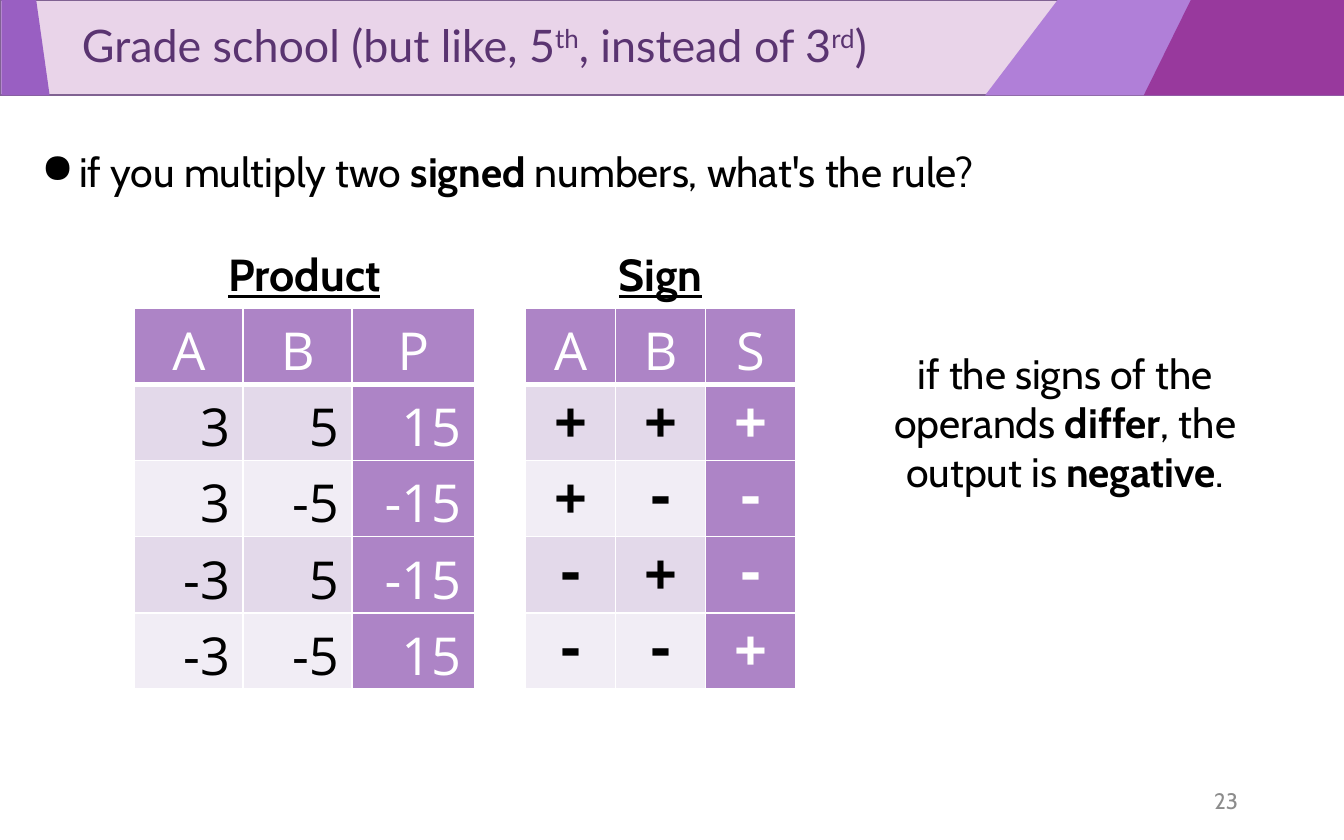
from lxml.etree import SubElement
from pptx import Presentation
from pptx.dml.color import RGBColor
from pptx.enum.shapes import MSO_SHAPE as Shape
from pptx.enum.text import MSO_ANCHOR as Anchor, PP_ALIGN as Align
from pptx.oxml.ns import qn
from pptx.util import Inches, Pt

WHITE = RGBColor(0xFF, 0xFF, 0xFF)
BLACK = RGBColor(0, 0, 0)
GRAY = RGBColor(0x8C, 0x8C, 0x8C)
TITLE_COLOR = RGBColor(0x5A, 0x34, 0x71)
BANNER_FILL = RGBColor(0xE9, 0xD4, 0xE9)
BANNER_LINE = RGBColor(0x80, 0x62, 0x92)
LILAC = RGBColor(0xB0, 0x7F, 0xD8)
VIOLET = RGBColor(0x99, 0x5F, 0xC2)
PLUM = RGBColor(0x98, 0x39, 0x9D)
ACCENT = RGBColor(0xAD, 0x84, 0xC6)
BANDS = RGBColor(0xE3, 0xD9, 0xEA), RGBColor(0xF1, 0xED, 0xF5)
BANNER_HEIGHT = 0.71
ROW_HEIGHT = 0.41


def add_run(paragraph, text, size, color=BLACK, font="Cabin", bold=False,
            underline=False, baseline=0):
    """Append one formatted run; baseline is a raise in percent."""
    run = paragraph.add_run()
    run.text = text
    run.font.size, run.font.name = Pt(size), font
    run.font.color.rgb = color
    run.font.bold, run.font.underline = bold, underline
    if baseline:
        run._r.get_or_add_rPr().set("baseline", str(baseline * 1000))


def add_text(slide, box, runs, size, align=Align.LEFT, anchor=Anchor.TOP, **style):
    """Add a wrapping text box of (text, bold) runs and return its paragraph."""
    frame = slide.shapes.add_textbox(*map(Inches, box)).text_frame
    frame.word_wrap, frame.vertical_anchor = True, anchor
    paragraph = frame.paragraphs[0]
    paragraph.alignment = align
    for text, bold in runs:
        add_run(paragraph, text, size, bold=bold, **style)
    return paragraph


def add_banner(slide, left, top, width, height):
    """Draw the title bar and its slanted colour bands."""
    bar = slide.shapes.add_shape(
        Shape.RECTANGLE, *map(Inches, (left, top, width, height)))
    bar.shadow.inherit = False
    bar.fill.solid()
    bar.fill.fore_color.rgb = BANNER_FILL
    bar.line.color.rgb, bar.line.width = BANNER_LINE, Pt(1)
    # Each band: top-left, top-right, bottom-right and bottom-left x
    bands = (
        (LILAC, 7.87, width, width, 7.33),
        (VIOLET, 0.01, 0.27, 0.37, 0.01),
        (PLUM, 8.86, width, width, 8.51),
    )
    for color, *edges in bands:
        points = [(Inches(left + x), Inches(top + y))
                  for x, y in zip(edges, (0, 0, height, height))]
        builder = slide.shapes.build_freeform(*points[0])
        builder.add_line_segments(points[1:], close=True)
        band = builder.convert_to_shape()
        band.shadow.inherit = False
        band.fill.solid()
        band.fill.fore_color.rgb = color
        band.line.fill.background()


def add_title(slide, left, top, width, height):
    """Format the title placeholder and bring it in front of the banner."""
    title = slide.shapes.title
    title.left, title.top, title.width, title.height = map(
        Inches, (left, top, width, height))
    slide.shapes._spTree.append(title._element)
    frame = title.text_frame
    frame.word_wrap, frame.vertical_anchor = True, Anchor.MIDDLE
    paragraph = frame.paragraphs[0]
    paragraph.alignment, paragraph.line_spacing = Align.LEFT, 0.9
    paragraph._p.get_or_add_pPr().set("marL", str(Inches(0.5)))
    for text, baseline in (("Grade school (but like, 5", 0), ("th", 30),
                           (", instead of 3", 0), ("rd", 30), (")", 0)):
        add_run(paragraph, text, 24, TITLE_COLOR, "Lato", baseline=baseline)


def add_question(slide, left, top, width, height):
    """Add the bulleted question."""
    paragraph = add_text(
        slide, (left, top, width, height),
        (("if you multiply two ", False), ("signed", True),
         (" numbers, what's the rule?", False)), 22)
    properties = paragraph._p.get_or_add_pPr()
    properties.set("marL", str(Inches(0.28)))
    properties.set("indent", str(-Inches(0.28)))
    SubElement(properties, qn("a:buChar"), char="●")


def set_borders(cell, bottom_width):
    """Give a cell white borders, 1 pt but for the bottom one."""
    properties = cell._tc.get_or_add_tcPr()
    for side, width in (("L", 1), ("R", 1), ("T", 1), ("B", bottom_width)):
        line = SubElement(properties, qn(f"a:ln{side}"), w=str(Pt(width)))
        fill = SubElement(line, qn("a:solidFill"))
        SubElement(fill, qn("a:srgbClr"), val=str(WHITE))


def add_rule_table(slide, left, top, widths, caption, rows, align, font, bold):
    """Add a captioned table whose header and last column are accented."""
    width = sum(widths)
    caption_width = 1.75
    table = slide.shapes.add_table(
        len(rows), len(widths), Inches(left), Inches(top),
        Inches(width), Inches(ROW_HEIGHT * len(rows))).table
    for column, column_width in zip(table.columns, widths):
        column.width = Inches(column_width)
    for row_index, values in enumerate(rows):
        table.rows[row_index].height = Inches(ROW_HEIGHT)
        header = row_index == 0
        for column_index, value in enumerate(values):
            accented = header or column_index == len(widths) - 1
            cell = table.cell(row_index, column_index)
            set_borders(cell, 3 if header else 1)
            cell.fill.solid()
            cell.fill.fore_color.rgb = ACCENT if accented else BANDS[(row_index - 1) % 2]
            paragraph = cell.text_frame.paragraphs[0]
            paragraph.alignment = Align.CENTER if header else align
            add_run(paragraph, value, 28, WHITE if accented else BLACK,
                    "Open Sans" if header else font, bold and not header)
    add_text(slide, (left + (width - caption_width) / 2, top - 0.5, caption_width, 0.5),
             ((caption, True),), 24, Align.CENTER, underline=True)


def build_slide(presentation):
    """Place every region of the slide."""
    slide = presentation.slides.add_slide(presentation.slide_layouts[5])
    add_banner(slide, 0, 0, 10, BANNER_HEIGHT)
    add_title(slide, 0.01, 0, 10, BANNER_HEIGHT)
    add_text(slide, (7.06, 5.79, 2.25, 0.33), (("23", False),), 12,
             Align.RIGHT, Anchor.MIDDLE, color=GRAY)
    add_question(slide, 0.21, 1.04, 9.58, 0.58)
    products = [("A", "B", "P")] + [
        (str(a), str(b), str(a * b)) for a in (3, -3) for b in (5, -5)]
    signs = [("A", "B", "S")] + [
        (a, b, "+" if a == b else "-") for a in "+-" for b in "+-"]
    add_rule_table(slide, 1, 2.29, (0.81, 0.81, 0.91), "Product", products,
                   Align.RIGHT, "Open Sans", False)
    add_rule_table(slide, 3.91, 2.29, (0.67,) * 3, "Sign", signs,
                   Align.CENTER, "DejaVu Sans Mono", True)
    add_text(slide, (6.27, 2.54, 3.31, 1.21),
             (("if the signs of the operands ", False), ("differ", True),
              (", the output is ", False), ("negative", True), (".", False)),
             22, Align.CENTER)


presentation = Presentation()
presentation.slide_width, presentation.slide_height = Inches(10), Inches(6.25)
build_slide(presentation)
presentation.save("out.pptx")
